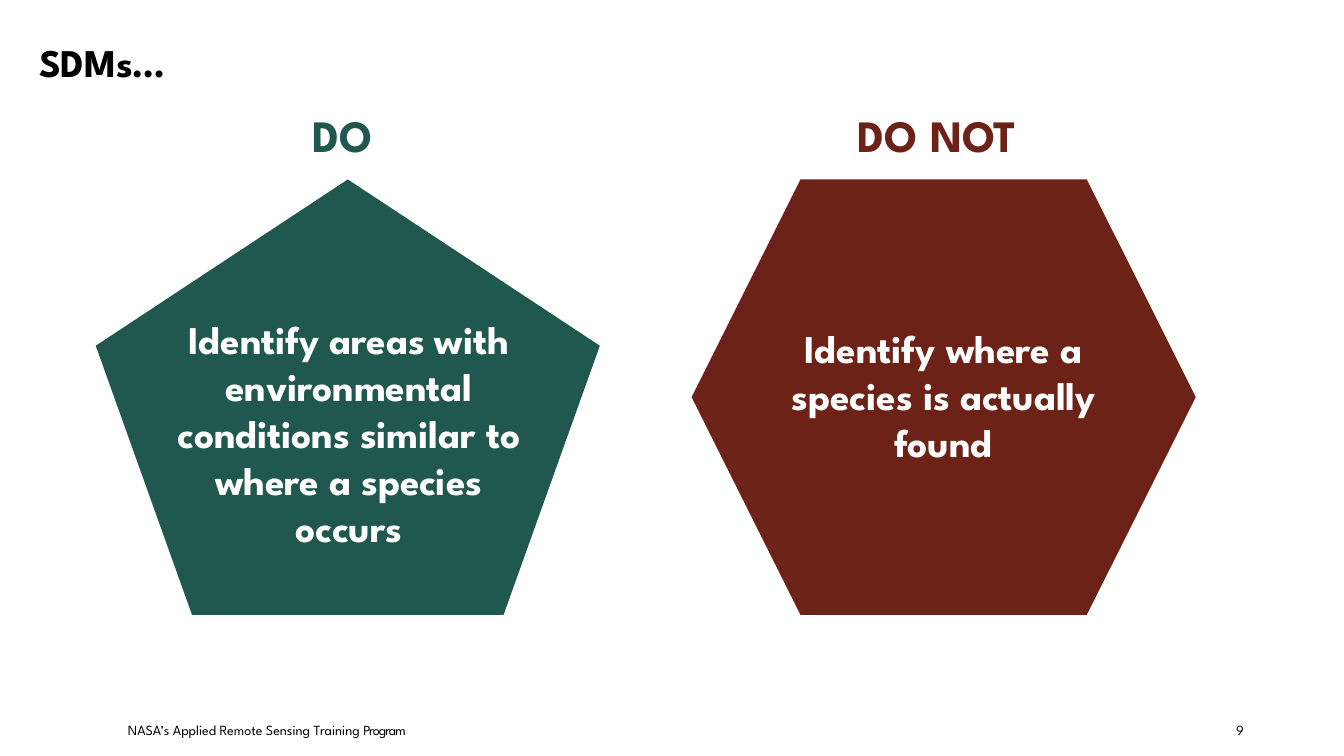
from pptx import Presentation
from pptx.dml.color import RGBColor
from pptx.enum.shapes import MSO_SHAPE
from pptx.enum.text import MSO_ANCHOR, MSO_AUTO_SIZE, PP_ALIGN
from pptx.util import Pt

PX = 9144
FONT = "League Spartan"
GREEN, RED, WHITE, BLACK = "20584F", "6C2216", "FFFFFF", "000000"


def px(*values):
    return [v * PX for v in values]


def rgb(code):
    return RGBColor.from_string(code)


def set_attrs(target, values):
    for name, value in values.items():
        setattr(target, name, value)


def write(sp, box, runs, size, color, bold=True, align=PP_ALIGN.LEFT, indent=0):
    set_attrs(sp, dict(zip(("left", "top", "width", "height"), px(*box))))
    tf = sp.text_frame
    set_attrs(tf, {
        "word_wrap": True, "auto_size": MSO_AUTO_SIZE.NONE,
        "vertical_anchor": MSO_ANCHOR.TOP, "margin_left": indent * PX,
        "margin_top": PX, "margin_right": 0, "margin_bottom": 0,
    })
    p = tf.paragraphs[0]
    set_attrs(p, {"alignment": align, "line_spacing": 1.0, "space_before": Pt(0)})
    for text, spacing in runs:
        r = p.add_run()
        r.text = text
        set_attrs(r.font, {"name": FONT, "size": Pt(size), "bold": bold})
        r.font.color.rgb = rgb(color)
        r._r.get_or_add_rPr().set("spc", str(spacing))


def add_text(s, box, *args, **kwargs):
    write(s.shapes.add_textbox(*px(*box)), box, *args, **kwargs)


def add_title(s, box):
    write(s.shapes.title, box, [("SDMs…", -10)], 28, BLACK, indent=1)


def add_panel(s, box, kind, color, heading, heading_box, body, body_box):
    x, y, w, h = box
    sp = s.shapes.add_shape(kind, *px(x, y, w, h))
    sp.shadow.inherit = False
    sp.fill.solid()
    sp.fill.fore_color.rgb = rgb(color)
    sp.line.fill.background()
    parts = [
        (heading_box, heading, 32, color, PP_ALIGN.LEFT),
        (body_box, body, 28, WHITE, PP_ALIGN.CENTER),
    ]
    for (dx, dy, pw, ph), runs, size, text_color, align in parts:
        add_text(s, (x + dx, y + dy, pw, ph), runs, size, text_color,
                 align=align, indent=1)


def add_footer(s, box):
    x, y, w, h = box
    program = [("NASA’s Applied Remote Sensing Training ", 0), ("Program", -70)]
    add_text(s, (x, y, 336, h), program, 10, BLACK, bold=False, indent=1)
    add_text(s, (x + w - 25, y, 25, h), [("9", -20)], 10, BLACK, bold=False, indent=4)


def main():
    prs = Presentation()
    prs.slide_width, prs.slide_height = px(1333, 750)
    s = prs.slides.add_slide(prs.slide_layouts[5])
    s.background.fill.solid()
    s.background.fill.fore_color.rgb = rgb(WHITE)

    add_title(s, (38, 37, 1133, 49))
    add_panel(
        s, (95, 178, 500, 432), MSO_SHAPE.REGULAR_PENTAGON, GREEN,
        [("DO", -20)], (214, -72, 71, 56),
        [("Identify areas with environmental conditions similar to where ", -5),
         ("a ", -50), ("species occurs", -5)], (78, 134, 345, 236))
    add_panel(
        s, (686, 178, 500, 432), MSO_SHAPE.HEXAGON, RED,
        [("DO ", 0), ("NOT", -20)], (164, -72, 173, 56),
        [("Identify where ", 0), ("a ", -50), ("species is ", 0),
         ("actually found", -10)], (75, 143, 348, 143))
    add_footer(s, (126, 715, 1121, 20))
    prs.save("out.pptx")


if __name__ == "__main__":
    main()
